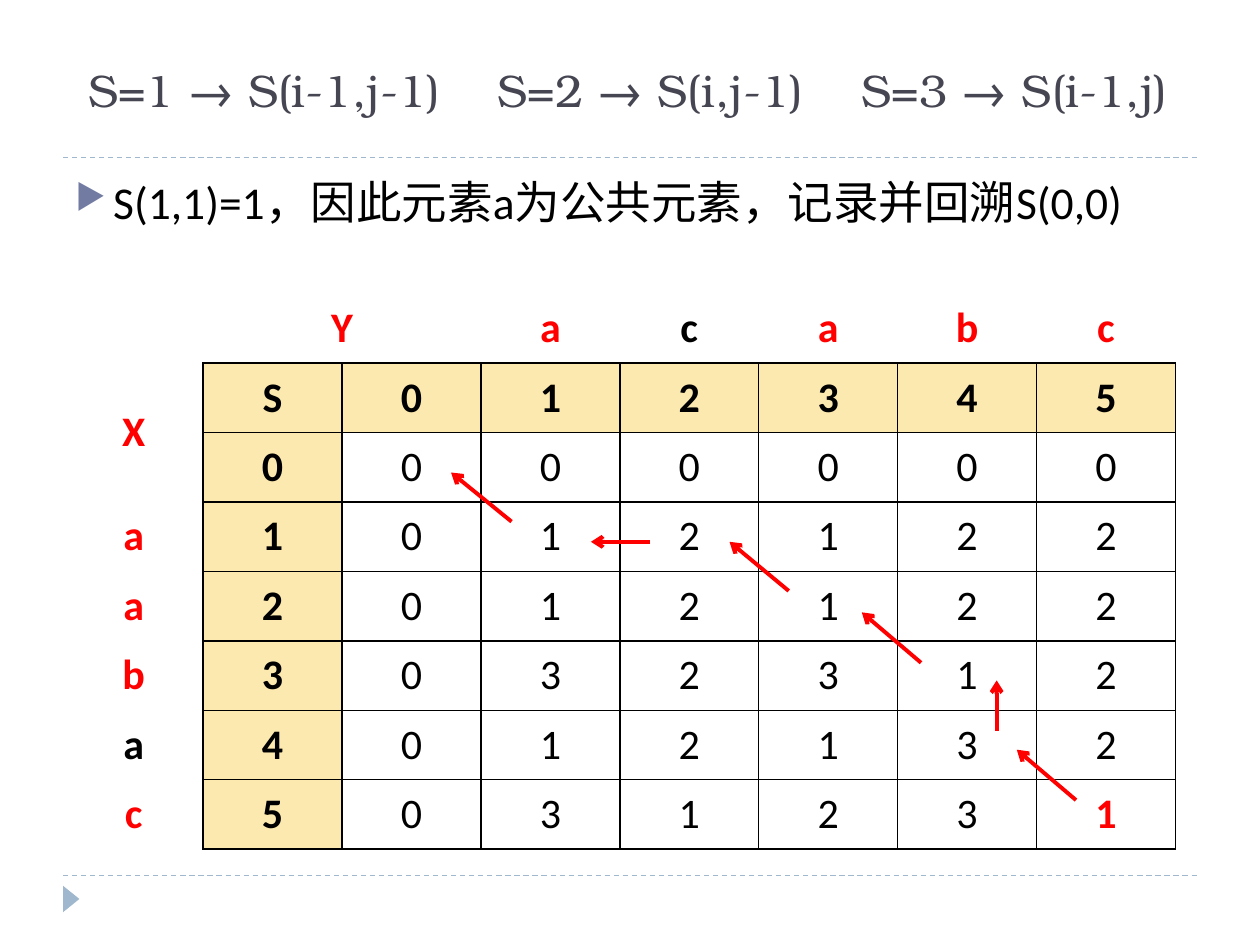
from lxml import etree
from pptx import Presentation
from pptx.dml.color import RGBColor as RGB
from pptx.enum.dml import MSO_LINE as Dash
from pptx.enum.shapes import MSO_CONNECTOR as Link, MSO_SHAPE as Shape
from pptx.enum.text import MSO_ANCHOR as Anchor, PP_ALIGN as Align
from pptx.oxml.ns import qn
from pptx.util import Inches, Pt

WHITE = RGB(0xFF, 0xFF, 0xFF)
BLACK = RGB(0, 0, 0)
RED = RGB(0xFF, 0, 0)
CREAM = RGB(0xFC, 0xE9, 0xAF)
SLATE = RGB(0x46, 0x46, 0x53)
PALE = RGB(0x9F, 0xB8, 0xCD)
MARK = RGB(0x72, 0x7C, 0xA3)

HEADS = ["S=1 → S(i-1,j-1)", "S=2 → S(i,j-1)", "S=3 → S(i-1,j)"]
STOPS = [3.25, 6.14]
NOTE = "S(1,1)=1，因此元素a为公共元素，记录并回溯S(0,0)"
ROWS = [
    ["", "Y", "", *"acabc"],
    ["X", "S", *"012345"],
    ["", *"0000000"],
    *[list(row) for row in ("a1012122", "a2012122", "b3032312",
                            "a4012132", "c5031231")],
]
SPANS = [((0, 1), (0, 2)), ((1, 0), (2, 0))]
PLAIN = {(0, 4), (6, 0)}
GOAL = (7, 7)
STEPS = [
    (8.54, 6.35, 8.07, 5.95), (7.91, 5.8, 7.91, 5.4),
    (7.31, 5.26, 6.84, 4.86), (6.26, 4.69, 5.79, 4.3),
    (5.16, 4.3, 4.69, 4.3), (4.06, 4.14, 3.58, 3.75),
]


def node(root, tag, **attrs):
    return etree.SubElement(root, qn(tag), attrs)


class Deck:
    """Draws styled elements on the current slide."""

    font, serif = "Calibri", "TeX Gyre Bonum"

    def __init__(self):
        self.file = Presentation()
        self.file.slide_width = Inches(10)
        self.file.slide_height = Inches(7.5)
        self.slide = self.file.slides.add_slide(self.file.slide_layouts[5])
        self.shapes = self.slide.shapes

    def style(self, para, size, color, bold=False, face=None):
        for run in para.runs:
            font = run.font
            font.name, font.size, font.bold = face or self.font, Pt(size), bold
            font.color.rgb = color

    def title(self, parts, stops, box):
        shape = self.shapes.title
        shape.left, shape.top, shape.width, shape.height = map(Inches, box)
        frame = shape.text_frame
        frame.text = "\t".join(parts)
        frame.margin_left = Inches(0.2)
        frame.margin_right = 0
        frame.vertical_anchor = Anchor.MIDDLE
        para = frame.paragraphs[0]
        para.alignment = Align.LEFT
        tabs = node(para._p.get_or_add_pPr(), "a:tabLst")
        for stop in stops:
            node(tabs, "a:tab", pos=str(Inches(stop)), algn="l")
        self.style(para, 26, SLATE, face=self.serif)

    def bullet(self, text, box):
        frame = self.shapes.add_textbox(*map(Inches, box)).text_frame
        frame.word_wrap = True
        frame.text = text
        para = frame.paragraphs[0]
        para.space_before = Pt(6)
        props = para._p.get_or_add_pPr()
        props.set("marL", str(Inches(0.3)))
        props.set("indent", str(-Inches(0.3)))
        node(node(props, "a:buClr"), "a:srgbClr", val=str(MARK))
        node(props, "a:buSzPct", val="76000")
        node(props, "a:buChar", char="▶")
        self.style(para, 26, BLACK)

    def line(self, ends, color, width, dash=False, arrow=False):
        link = self.shapes.add_connector(Link.STRAIGHT, *map(Inches, ends))
        link.line.color.rgb = color
        link.line.width = Pt(width)
        if dash:
            link.line.dash_style = Dash.DASH
        if arrow:
            node(link.line._get_or_add_ln(), "a:tailEnd", type="arrow")
        node(link._element.spPr, "a:effectLst")

    def wedge(self, box, color):
        shape = self.shapes.add_shape(Shape.ISOSCELES_TRIANGLE, *map(Inches, box))
        shape.rotation = 90
        shape.shadow.inherit = False
        shape.fill.solid()
        shape.fill.fore_color.rgb = color
        shape.line.fill.background()

    def border(self, cell, sides):
        props = cell._tc.get_or_add_tcPr()
        for side, color in sides.items():
            edge = node(props, f"a:ln{side}", w=str(Pt(1)))
            node(node(edge, "a:solidFill"), "a:srgbClr", val=str(color))

    def cell(self, cell, row, col, text):
        outer = row == 0 or col == 0
        head = not outer and (row == 1 or col == 1)
        edge = WHITE if outer else BLACK
        self.border(cell, {
            "L": BLACK if row and col == 1 else edge,
            "R": BLACK if row and col == 0 else edge,
            "T": BLACK if col and row == 1 else edge,
            "B": BLACK if col and row == 0 else edge,
        })
        cell.fill.solid()
        cell.fill.fore_color.rgb = CREAM if head else WHITE
        cell.vertical_anchor = Anchor.MIDDLE
        cell.margin_left = cell.margin_right = Inches(0.08)
        cell.margin_top = cell.margin_bottom = Inches(0.04)
        goal = (row, col) == GOAL
        red = goal or outer and (row, col) not in PLAIN
        if text:
            cell.text = text
        para = cell.text_frame.paragraphs[0]
        para.alignment = Align.CENTER
        self.style(para, 24, RED if red else BLACK, outer or head or goal)

    def table(self, rows, box, spans):
        size = len(rows), len(rows[0])
        grid = self.shapes.add_table(*size, *map(Inches, box)).table
        grid.first_row = grid.horz_banding = False
        for start, end in spans:
            grid.cell(*start).merge(grid.cell(*end))
        for row, texts in enumerate(rows):
            for col, text in enumerate(texts):
                self.cell(grid.cell(row, col), row, col, text)


def main():
    deck = Deck()
    for top in (6.95, 1.25):
        deck.line((0.5, top, 9.5, top), PALE, 0.75, dash=True)
    deck.wedge((0.46, 7.07, 0.21, 0.13), PALE)
    deck.title(HEADS, STOPS, (0.5, 0.17, 9, 1.08))
    deck.bullet(NOTE, (0.5, 1.33, 9, 5.4))
    deck.table(ROWS, (0.51, 2.33, 8.82, 4.41), SPANS)
    for step in STEPS:
        deck.line(step, RED, 2.25, arrow=True)
    deck.file.save("out.pptx")


if __name__ == "__main__":
    main()
